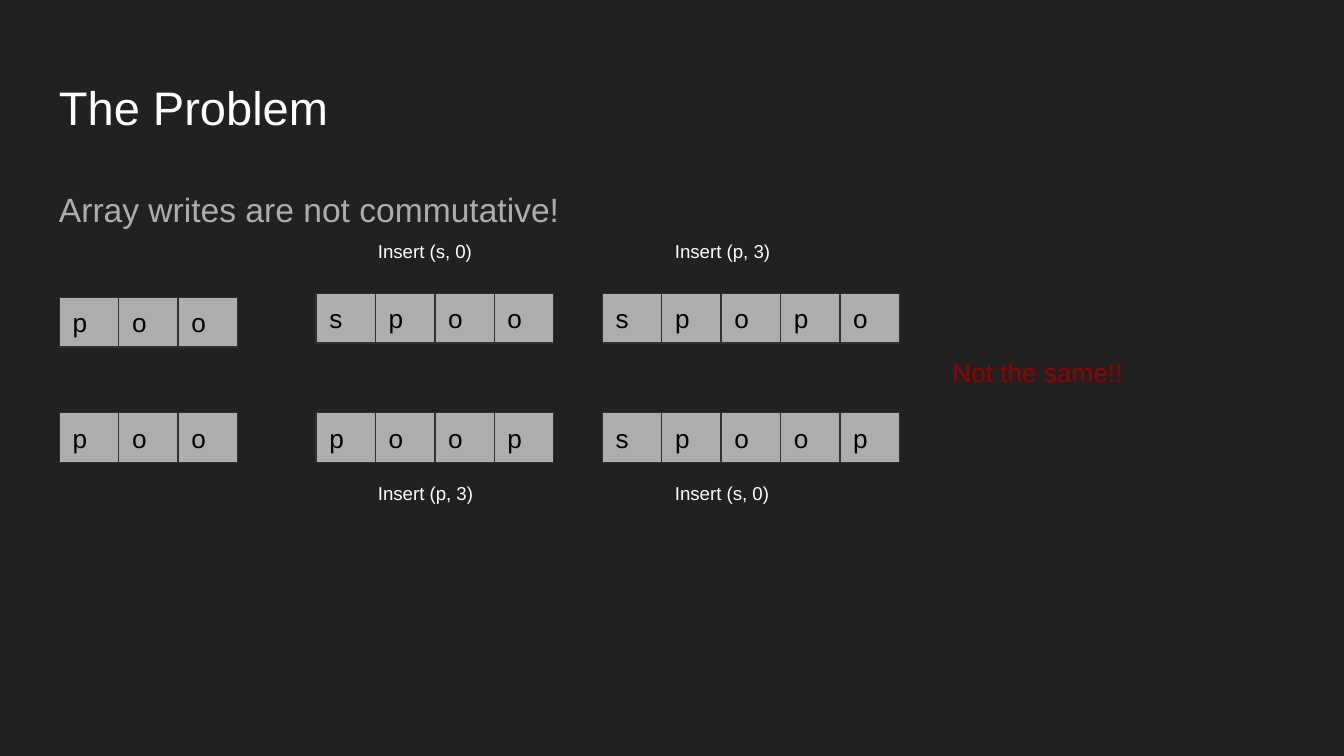
import pptx
import pptx.util
import pptx.dml.color
import pptx.enum.shapes
import pptx.enum.text

deck = pptx.Presentation()
deck.slide_width = pptx.util.Inches(10)
deck.slide_height = deck.slide_width * 9 // 16
slide = deck.slides.add_slide(deck.slide_layouts[6])

# One grid unit is one array cell.
COL = pptx.util.Inches(0.442)
ROW = pptx.util.Inches(0.37)
PAD = pptx.util.Inches(0.1)
LINE = pptx.util.Pt(0.75)
ANCHOR = pptx.enum.text.MSO_ANCHOR
FIT = pptx.enum.text.MSO_AUTO_SIZE
RECT = pptx.enum.shapes.MSO_SHAPE.RECTANGLE


def paint(fmt, color):
    """Give a fill a solid colour."""
    fmt.solid()
    fmt.fore_color.rgb = pptx.dml.color.RGBColor.from_string(color)


def write(text, col, row, wide, high, size, color, cell=False, grow=False):
    """Place text in a plain box, or in an array cell, by grid units."""
    place = [round(n) for n in (col * COL, row * ROW, wide * COL, high * ROW)]
    if cell:
        box = slide.shapes.add_shape(RECT, *place)
        box.shadow.inherit = False
        paint(box.fill, "ADADAD")
        paint(box.line.fill, "303030")
        box.line.width = LINE
    else:
        box = slide.shapes.add_textbox(*place)
    frame = box.text_frame
    look = {
        "word_wrap": True,
        "auto_size": FIT.SHAPE_TO_FIT_TEXT if grow else FIT.NONE,
        "vertical_anchor": ANCHOR.MIDDLE if cell else ANCHOR.TOP,
        "margin_left": PAD, "margin_right": PAD,
        "margin_top": PAD, "margin_bottom": PAD,
    }
    for name, value in look.items():
        setattr(frame, name, value)
    para = frame.paragraphs[0]
    para.alignment = pptx.enum.text.PP_ALIGN.LEFT
    run = para.add_run()
    run.text = text
    for name, value in {"name": "Arial", "size": pptx.util.Pt(size)}.items():
        setattr(run.font, name, value)
    paint(run.font.fill, color)
    return para


paint(slide.background.fill, "212121")
write("The Problem", 0.77, 1.31, 21.09, 1.7, 25.2, "FFFFFF")
body = write("Array writes are not commutative!", 0.77, 3.41, 21.09, 10.1, 18, "ADADAD")
body.line_spacing = 1.15
body.space_after = pptx.util.Pt(12)

# Each array: letters, left column, top row.
arrays = [
    ("poo", 1, 5.98), ("spoo", 5.32, 5.9), ("spopo", 10.14, 5.9),
    ("poo", 1, 8.3), ("poop", 5.32, 8.3), ("spoop", 10.14, 8.3),
]
for word, left, top in arrays:
    for step, letter in enumerate(word):
        write(letter, left + step, top, 1, 1, 14, "000000", cell=True)

# Steps above the top arrays and below the bottom ones.
steps = {4.6: ("Insert (s, 0)", "Insert (p, 3)"),
         9.46: ("Insert (p, 3)", "Insert (s, 0)")}
for row, labels in steps.items():
    for col, label in zip((6.14, 11.14), labels):
        write(label, col, row, 2.74, 1, 10, "FFFFFF", grow=True)

write("Not the same!!", 15.81, 6.9, 4.34, 1.2, 14, "980000", grow=True)

deck.save("out.pptx")
